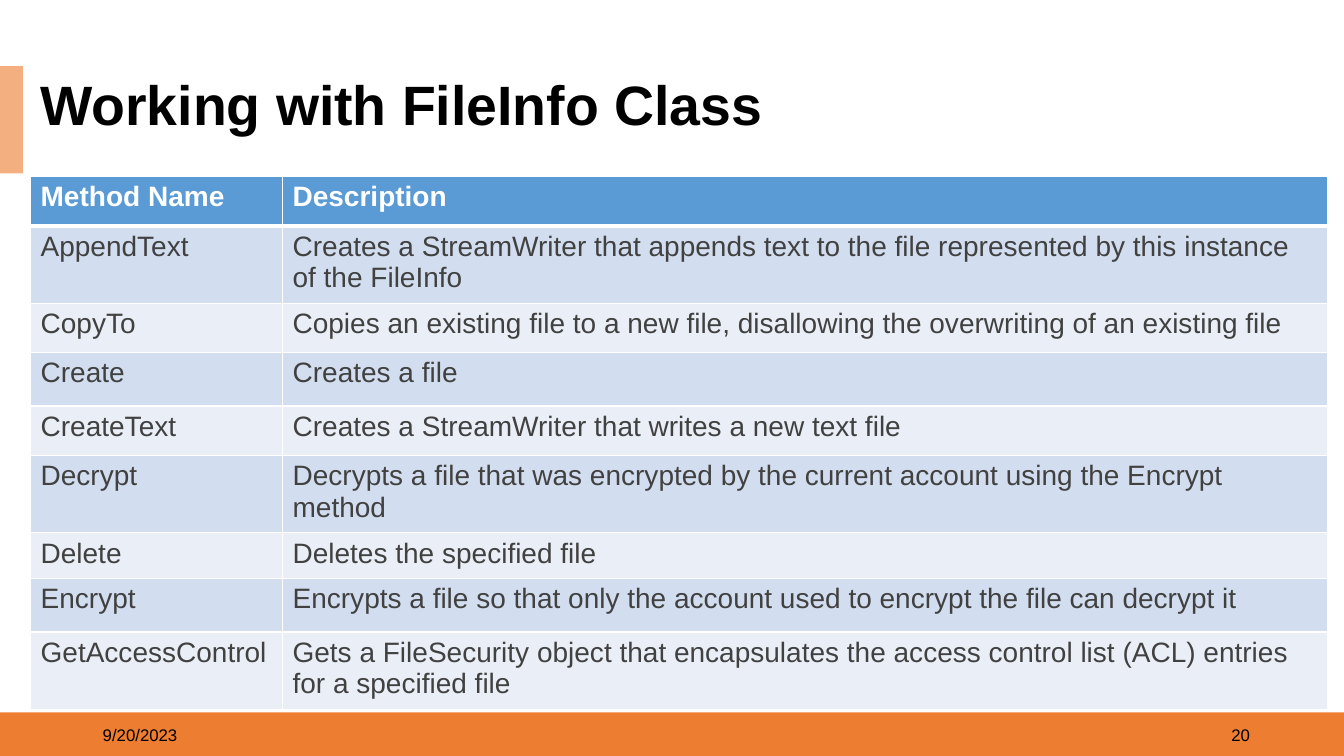
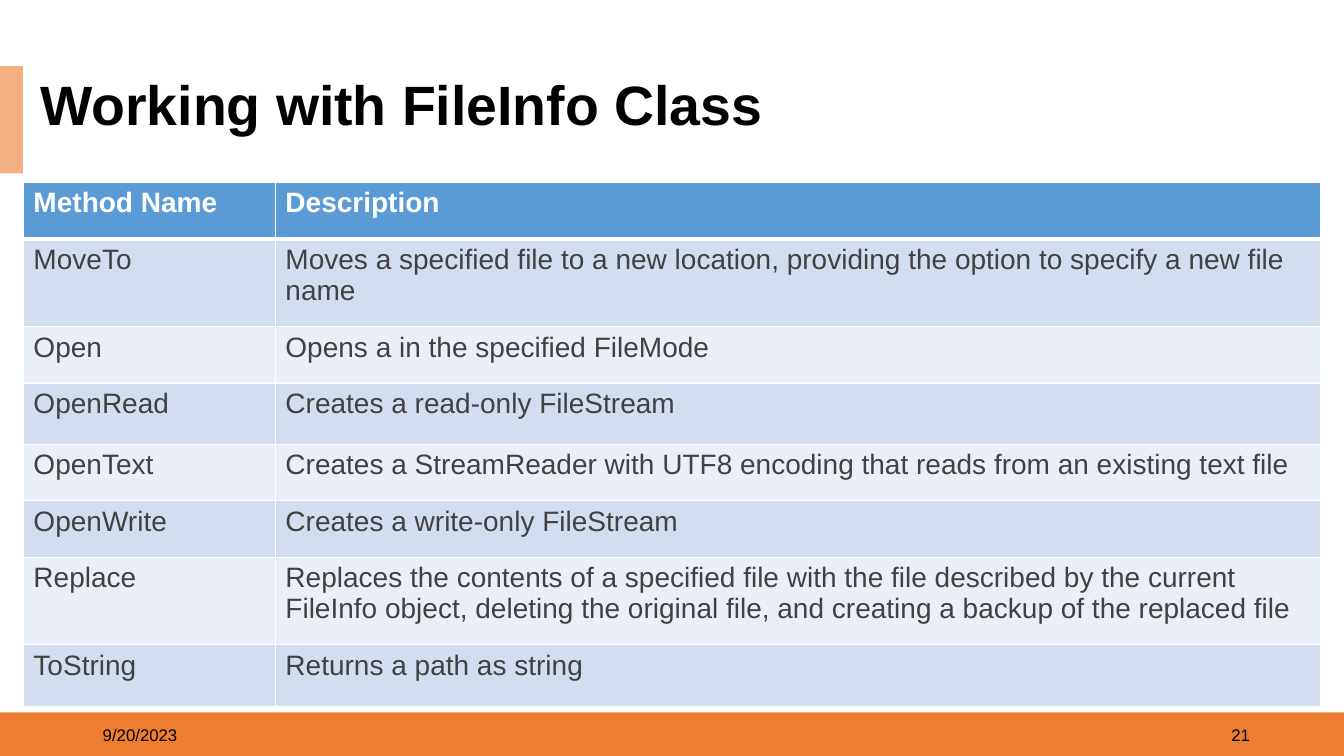
from lxml import etree
from pptx import Presentation
from pptx import util as u
from pptx.dml.color import RGBColor
from pptx.enum import shapes, text
from pptx.oxml import ns

COLORS = {
    "band": "ED7D31",
    "accent": "F4AF80",
    "header": "5B9BD5",
    "odd_row": "D2DEEF",
    "even_row": "EAEFF7",
    "white": "FFFFFF",
    "black": "000000",
    "cell_text": "414141",
}
FONT = "Arial"
TITLE = "Working with FileInfo Class"
DATE = "9/20/2023"
HEADINGS = ("Method Name", "Description")
COLUMN_WIDTHS = (6.35, 26.34)

# Each method: name, description, row height in cm
FIRST_METHODS = [
    ("AppendText", "Creates a StreamWriter that appends text to the file "
     "represented by this instance of the FileInfo", 1.82),
    ("CopyTo", "Copies an existing file to a new file, disallowing the "
     "overwriting of an existing file", 1.24),
    ("Create", "Creates a file", 1.35),
    ("CreateText", "Creates a StreamWriter that writes a new text file", 1.25),
    ("Decrypt", "Decrypts a file that was encrypted by the current account "
     "using the Encrypt method", 1.82),
    ("Delete", "Deletes the specified file", 1.15),
    ("Encrypt", "Encrypts a file so that only the account used to encrypt "
     "the file can decrypt it", 1.35),
    ("GetAccessControl", "Gets a FileSecurity object that encapsulates the "
     "access control list (ACL) entries for a specified file", 1.82),
]
SECOND_METHODS = [
    ("MoveTo", "Moves a specified file to a new location, providing the "
     "option to specify a new file name", 2.21),
    ("Open", "Opens a in the specified FileMode", 1.42),
    ("OpenRead", "Creates a read-only FileStream", 1.55),
    ("OpenText", "Creates a StreamReader with UTF8 encoding that reads from "
     "an existing text file", 1.42),
    ("OpenWrite", "Creates a write-only FileStream", 1.42),
    ("Replace", "Replaces the contents of a specified file with the file "
     "described by the current FileInfo object, deleting the original file, "
     "and creating a backup of the replaced file", 2.21),
    ("ToString", "Returns a path as string", 1.55),
]


def rgb(name):
    return RGBColor.from_string(COLORS[name])


def box(left, top, width, height):
    return u.Cm(left), u.Cm(top), u.Cm(width), u.Cm(height)


def write(frame, words, size, color, bold=False):
    """Put one formatted paragraph in a text frame and return it."""
    frame.text = words
    paragraph = frame.paragraphs[0]
    font = paragraph.runs[0].font
    font.name, font.size, font.bold = FONT, u.Pt(size), bold
    font.color.rgb = rgb(color)
    return paragraph


def add_layout_band(layout, slide, area, color):
    """Draw a rectangle and move it to the layout, so every slide shows it."""
    band = slide.shapes.add_shape(shapes.MSO_SHAPE.RECTANGLE, *area)
    band.shadow.inherit = False
    band.fill.solid()
    band.fill.fore_color.rgb = rgb(color)
    band.line.fill.background()
    layout.shapes.element.insert(2, band.element)


def add_title(slide, words):
    title = slide.shapes.title
    title.left, title.top, title.width, title.height = box(0.76, 1.9, 20.7, 1.6)
    frame = title.text_frame
    frame.auto_size = text.MSO_AUTO_SIZE.NONE
    frame.vertical_anchor = text.MSO_ANCHOR.MIDDLE
    paragraph = write(frame, words, 39.6, "black", bold=True)
    paragraph.alignment = text.PP_ALIGN.LEFT
    paragraph.line_spacing = 0.9


def add_footer(slide, words, left, alignment):
    footer = slide.shapes.add_textbox(*box(left, 18.01, 7.62, 1.02))
    frame = footer.text_frame
    frame.word_wrap = True
    frame.vertical_anchor = text.MSO_ANCHOR.MIDDLE
    write(frame, words, 12, "black").alignment = alignment


def set_borders(cell, top, bottom):
    """Give a cell white borders; top and bottom widths are in points."""
    properties = cell._tc.get_or_add_tcPr()
    widths = {"lnL": 1, "lnR": 1, "lnT": top, "lnB": bottom}
    for index, (side, width) in enumerate(widths.items()):
        line = etree.Element(ns.qn(f"a:{side}"), w=str(u.Pt(width)))
        fill = etree.SubElement(line, ns.qn("a:solidFill"))
        etree.SubElement(fill, ns.qn("a:srgbClr"), val=COLORS["white"])
        properties.insert(index, line)


def fill_cell(cell, words, row):
    is_header = row == 0
    if is_header:
        background = "header"
    else:
        background = "odd_row" if row % 2 else "even_row"
    cell.fill.solid()
    cell.fill.fore_color.rgb = rgb(background)
    set_borders(cell, top=3 if row == 1 else 1, bottom=3 if is_header else 1)
    paragraph = write(cell.text_frame, words, 20,
                      "white" if is_header else "cell_text", bold=is_header)
    if is_header:
        paragraph.space_before = paragraph.space_after = u.Pt(6)


def add_method_table(slide, left, top, header_height, methods):
    rows = [(*HEADINGS, header_height), *methods]
    area = box(left, top, sum(COLUMN_WIDTHS), sum(row[2] for row in rows))
    table = slide.shapes.add_table(len(rows), len(HEADINGS), *area).table
    for column, width in zip(table.columns, COLUMN_WIDTHS):
        column.width = u.Cm(width)
    for index, (method, description, height) in enumerate(rows):
        table.rows[index].height = u.Cm(height)
        for column, words in enumerate((method, description)):
            fill_cell(table.cell(index, column), words, index)


def add_method_slide(deck, layout, number, **table):
    slide = deck.slides.add_slide(layout)
    add_title(slide, TITLE)
    add_footer(slide, DATE, 2.34, text.PP_ALIGN.LEFT)
    add_footer(slide, str(number), 24.13, text.PP_ALIGN.RIGHT)
    add_method_table(slide, **table)
    return slide


def main():
    deck = Presentation()
    deck.slide_width, deck.slide_height = u.Cm(33.87), u.Cm(19.05)
    layout = deck.slide_layouts.get_by_name("Title Only")
    first = add_method_slide(deck, layout, 20, left=0.77, top=4.45,
                             header_height=1.24, methods=FIRST_METHODS)
    add_method_slide(deck, layout, 21, left=0.59, top=4.6,
                     header_height=1.42, methods=SECOND_METHODS)
    add_layout_band(layout, first, box(0, 17.95, 33.87, 1.1), "band")
    add_layout_band(layout, first, box(0, 1.67, 0.58, 2.7), "accent")
    deck.save("out.pptx")


if __name__ == "__main__":
    main()
